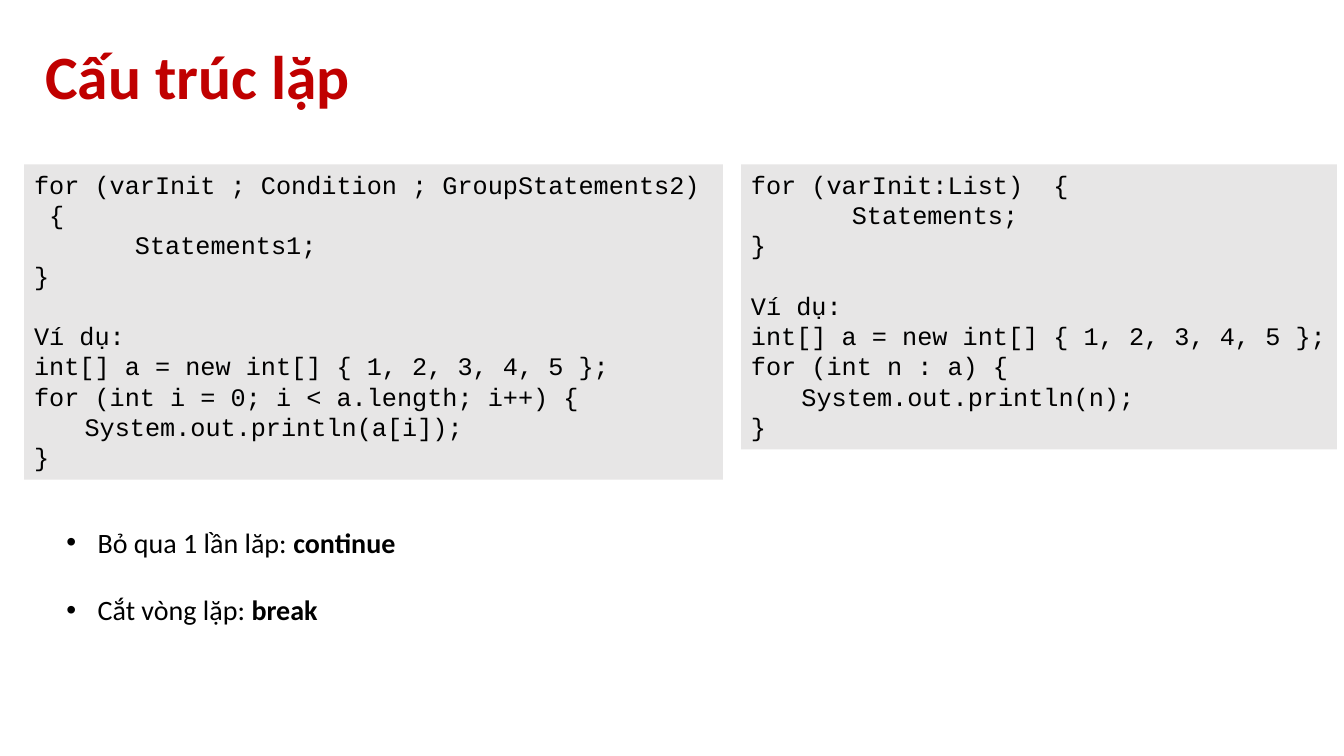
"""Build a slide on Java loop structures."""
from lxml.etree import SubElement
from pptx import Presentation
from pptx.dml.color import RGBColor
from pptx.enum.shapes import MSO_SHAPE
from pptx.enum.text import MSO_ANCHOR, PP_ALIGN
from pptx.oxml.ns import qn
from pptx.util import Inches, Pt

HEADING = "Cấu trúc lặp"
EXAMPLE = "Ví dụ:"
ARRAY = "int[] a = new int[] { 1, 2, 3, 4, 5 };"
LOOPS = [
    (0.24, 6.93, 3.13, [
        (0, "for (varInit ; Condition ; GroupStatements2)  {"),
        (2, "Statements1;"),
        (0, "}"),
        (0, EXAMPLE),
        (0, ARRAY),
        (0, "for (int i = 0; i < a.length; i++) {"),
        (1, "System.out.println(a[i]);"),
        (0, "}"),
    ]),
    (7.35, 5.91, 2.83, [
        (0, "for (varInit:List)  {"),
        (2, "Statements;"),
        (0, "}"),
        (0, EXAMPLE),
        (0, ARRAY),
        (0, "for (int n : a) {"),
        (1, "System.out.println(n);"),
        (0, "}"),
    ]),
]
KEYWORDS = [("Bỏ qua 1 lần lăp: ", "continue"), ("Cắt vòng lặp: ", "break")]

RED = RGBColor(0xC0, 0x00, 0x00)
GREY = RGBColor(0xE7, 0xE6, 0xE6)
BLACK = RGBColor(0x00, 0x00, 0x00)
CODE_TOP = 1.63
CODE_INDENT = 0.5
BULLET_INDENT = 0.31
BLANK_LINE = Pt(21.6)


def style(font, name, size, color, bold=False):
    font.name, font.size, font.bold = name, Pt(size), bold
    font.color.rgb = color


def place(shape, left, top, width, height):
    shape.left, shape.top = Inches(left), Inches(top)
    shape.width, shape.height = Inches(width), Inches(height)


def add_heading(slide):
    heading = slide.shapes.title
    place(heading, 0.45, 0.6, 12.43, 0.4)
    frame = heading.text_frame
    frame.text = HEADING
    frame.vertical_anchor = MSO_ANCHOR.MIDDLE
    frame.margin_left = frame.margin_right = 0
    frame.margin_top = frame.margin_bottom = 0
    line = frame.paragraphs[0]
    line.alignment, line.line_spacing = PP_ALIGN.LEFT, 0.85
    style(line.runs[0].font, "Calibri", 44, RED, True)


def add_code(slide, left, width, height, lines):
    panel = slide.shapes.add_shape(
        MSO_SHAPE.RECTANGLE, Inches(left), Inches(CODE_TOP), Inches(width), Inches(height))
    panel.shadow.inherit = False
    panel.fill.solid()
    panel.fill.fore_color.rgb = GREY
    panel.line.fill.background()
    frame = panel.text_frame
    frame.word_wrap = True
    frame.vertical_anchor = MSO_ANCHOR.TOP
    frame.text = "\n".join(text for _, text in lines)
    for line, (depth, text) in zip(frame.paragraphs, lines):
        line.alignment = PP_ALIGN.LEFT
        line._p.get_or_add_pPr().set("marL", str(Inches(depth * CODE_INDENT)))
        if text == EXAMPLE:
            line.space_before = BLANK_LINE
        style(line.runs[0].font, "Courier New", 18, BLACK)


def add_keywords(slide):
    notes = slide.shapes.add_textbox(Inches(0.56), Inches(4.83), Inches(11.55), Inches(1.45))
    frame = notes.text_frame
    frame.word_wrap = True
    frame.text = "\n".join(effect for effect, _ in KEYWORDS)
    for line, (_, keyword) in zip(frame.paragraphs, KEYWORDS):
        line.line_spacing = 2.0
        line.add_run().text = keyword
        for run, bold in zip(line.runs, (False, True)):
            style(run.font, "Calibri", 20, BLACK, bold)
        properties = line._p.get_or_add_pPr()
        properties.set("marL", str(Inches(BULLET_INDENT)))
        properties.set("indent", str(-Inches(BULLET_INDENT)))
        SubElement(properties, qn("a:buFont"), typeface="Arial")
        SubElement(properties, qn("a:buChar"), char="•")


def main():
    deck = Presentation()
    deck.slide_width, deck.slide_height = Inches(13.33), Inches(7.5)
    slide = deck.slides.add_slide(deck.slide_layouts[5])
    add_heading(slide)
    for loop in LOOPS:
        add_code(slide, *loop)
    add_keywords(slide)
    deck.save("out.pptx")


if __name__ == "__main__":
    main()
